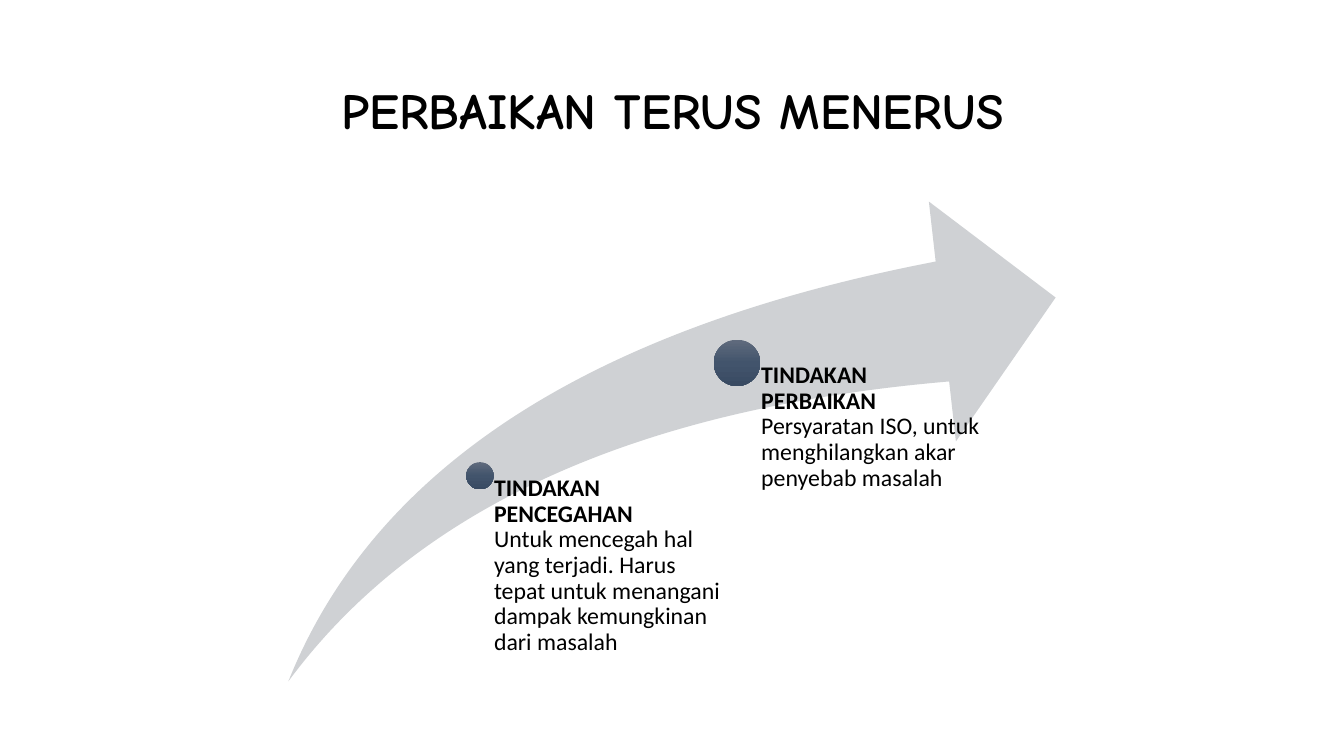
from copy import deepcopy
from dataclasses import dataclass

from pptx import Presentation
from pptx.dml.color import RGBColor
from pptx.enum.shapes import MSO_SHAPE
from pptx.enum.text import MSO_ANCHOR, PP_ALIGN
from pptx.oxml.ns import qn
from pptx.slide import Slide
from pptx.text.text import Font
from pptx.util import Inches, Pt

SWOOSH = MSO_SHAPE.SWOOSH_ARROW
OVAL = MSO_SHAPE.OVAL
TOP = MSO_ANCHOR.TOP
MIDDLE = MSO_ANCHOR.MIDDLE
LEFT = PP_ALIGN.LEFT
CENTER = PP_ALIGN.CENTER

BLACK = "000000"
ARROW_GREY = "CFD1D4"
DOT_STOPS = ((0, "606B7D"), (0.5, "42546C"), (1, "394A62"))
LINE_SPACING = 0.9
TEXT_BOTTOM = 6.75
TEXT_WIDTH = 2.46


@dataclass(frozen=True)
class Milestone:
    """A dot on the arrow with the text that hangs from its centre."""

    center_x: float
    center_y: float
    diameter: float
    inset: float
    heading: str
    detail: str


MILESTONES = (
    Milestone(4.76, 4.72, 0.27, 0.14, "TINDAKAN PENCEGAHAN",
              "Untuk mencegah hal yang terjadi. Harus tepat untuk menangani "
              "dampak kemungkinan dari masalah"),
    Milestone(7.31, 3.6, 0.46, 0.24, "TINDAKAN PERBAIKAN",
              "Persyaratan ISO, untuk menghilangkan akar penyebab masalah"),
)


def color(value: str) -> RGBColor:
    """Turn a hex string into a colour."""
    return RGBColor.from_string(value)


def format_font(font: Font, name: str, size: float, bold: bool) -> None:
    """Give a font its face, size, weight and black colour."""
    font.name = name
    font.size = Pt(size)
    font.bold = bold
    font.color.rgb = color(BLACK)


def add_title(page: Slide, text: str) -> None:
    """Place and format the title placeholder."""
    title = page.shapes.title
    title.left, title.top = Inches(0.92), Inches(0.4)
    title.width, title.height = Inches(11.5), Inches(1.45)
    title.text_frame.text = text
    title.text_frame.vertical_anchor = MIDDLE
    para = title.text_frame.paragraphs[0]
    para.alignment = CENTER
    para.line_spacing = LINE_SPACING
    format_font(para.runs[0].font, "Comic Neue", 36, True)


def add_arrow(page: Slide) -> None:
    """Draw the rising swoosh arrow."""
    arrow = page.shapes.add_shape(
        SWOOSH, Inches(2.86), Inches(2), Inches(7.61), Inches(4.76))
    arrow.adjustments[0] = 0.25
    arrow.adjustments[1] = 0.25
    arrow.shadow.inherit = False
    arrow.fill.solid()
    arrow.fill.fore_color.rgb = color(ARROW_GREY)
    arrow.line.fill.background()


def add_dot(page: Slide, milestone: Milestone) -> None:
    """Draw a milestone's dot with a vertical gradient."""
    radius = milestone.diameter / 2
    dot = page.shapes.add_shape(
        OVAL, Inches(milestone.center_x - radius),
        Inches(milestone.center_y - radius),
        Inches(milestone.diameter), Inches(milestone.diameter))
    dot.shadow.inherit = False
    dot.line.fill.background()
    dot.fill.gradient()
    dot.fill.gradient_angle = 270
    stop_list = next(dot._element.spPr.iter(qn("a:gsLst")))
    stop_list.append(deepcopy(stop_list[0]))
    for stop, (position, value) in zip(dot.fill.gradient_stops, DOT_STOPS):
        stop.position = position
        stop.color.rgb = color(value)


def add_label(page: Slide, milestone: Milestone) -> None:
    """Write a milestone's bold heading and its detail."""
    box = page.shapes.add_textbox(
        Inches(milestone.center_x), Inches(milestone.center_y),
        Inches(TEXT_WIDTH), Inches(TEXT_BOTTOM - milestone.center_y))
    frame = box.text_frame
    frame.word_wrap = True
    frame.vertical_anchor = TOP
    frame.margin_left = Inches(milestone.inset)
    frame.margin_top = frame.margin_right = frame.margin_bottom = 0
    para = frame.paragraphs[0]
    para.text = f"{milestone.heading}\v{milestone.detail}"
    para.alignment = LEFT
    para.line_spacing = LINE_SPACING
    for span, bold in zip(para.runs, (True, False)):
        format_font(span.font, "Calibri", 17, bold)


def main() -> None:
    """Build the slide and save the deck."""
    deck = Presentation()
    deck.slide_width, deck.slide_height = Inches(13.33), Inches(7.5)
    page = deck.slides.add_slide(deck.slide_layouts[5])
    add_title(page, "PERBAIKAN TERUS MENERUS")
    add_arrow(page)
    for milestone in MILESTONES:
        add_dot(page, milestone)
        add_label(page, milestone)
    deck.save("out.pptx")


if __name__ == "__main__":
    main()
